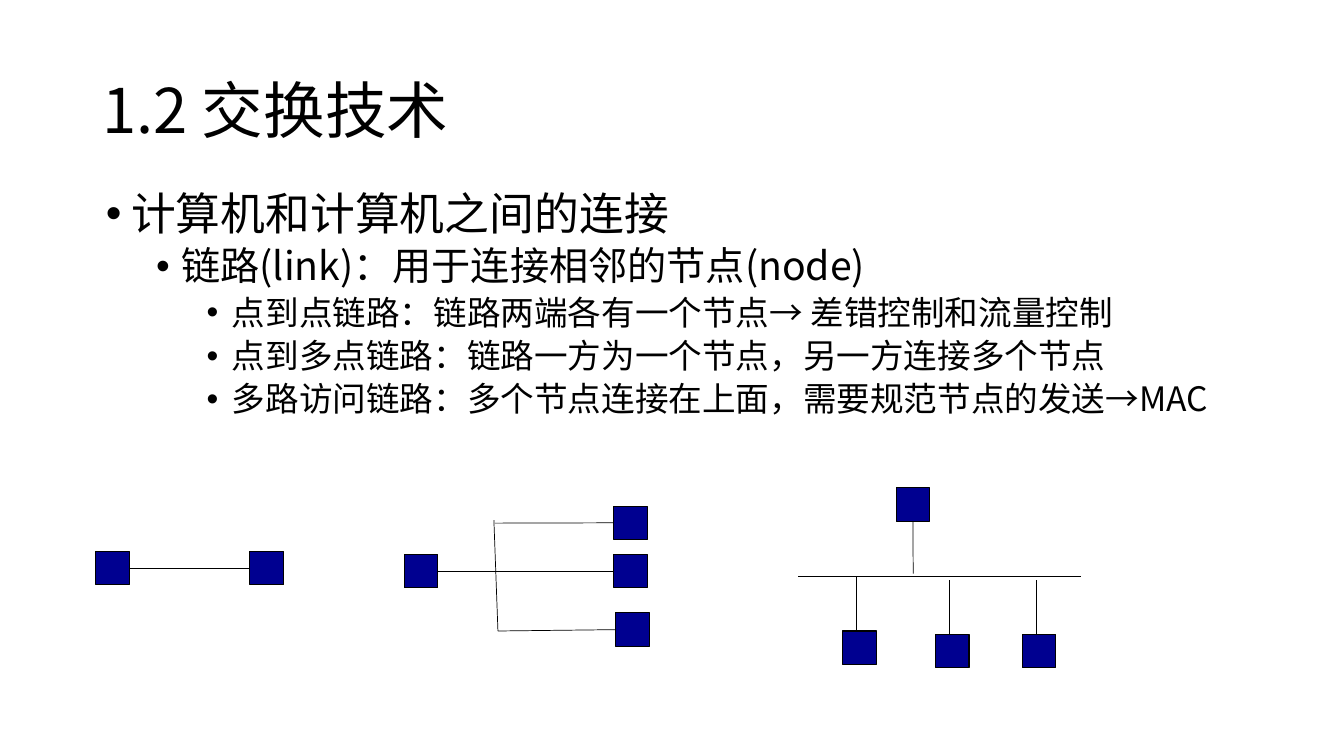
from dataclasses import dataclass

from lxml import etree
from pptx import Presentation
from pptx.dml.color import RGBColor
from pptx.enum.shapes import MSO_CONNECTOR, MSO_SHAPE
from pptx.enum.text import MSO_ANCHOR, MSO_AUTO_SIZE, PP_ALIGN
from pptx.oxml.ns import qn
from pptx.util import Inches, Pt

RECT = MSO_SHAPE.RECTANGLE
LINE = MSO_CONNECTOR.STRAIGHT
MIDDLE, TOP = MSO_ANCHOR.MIDDLE, MSO_ANCHOR.TOP
LEFT = PP_ALIGN.LEFT
NO_FIT = MSO_AUTO_SIZE.NONE
WEST, SOUTH, EAST = 1, 2, 3

WIDE, HIGH = Inches(13.333), Inches(7.5)
COLS, ROWS = 40, 22.5


@dataclass(frozen=True)
class Theme:
    font: str = "Noto Sans CJK SC"
    ink: RGBColor = RGBColor(0, 0, 0)
    node: RGBColor = RGBColor(0, 0, 0x90)
    title: int = 44
    sizes: tuple = (32, 28, 24)
    edge: float = 0.75
    link: float = 0.5


THEME = Theme()

TITLE = "1.2 交换技术"
POINTS = [
    (0, "计算机和计算机之间的连接"),
    (1, "链路(link)：用于连接相邻的节点(node)"),
    (2, "点到点链路：链路两端各有一个节点→ 差错控制和流量控制"),
    (2, "点到多点链路：链路一方为一个节点，另一方连接多个节点"),
    (2, "多路访问链路：多个节点连接在上面，需要规范节点的发送→MAC"),
]


def across(cols):
    return round(WIDE * cols / COLS)


def down(rows):
    return round(HIGH * rows / ROWS)


def apply(item, form):
    for key, value in form.items():
        setattr(item, key, value)


def place(holder, left, top, width, height, anchor):
    apply(holder, {"left": across(left), "top": down(top),
                   "width": across(width), "height": down(height)})
    apply(holder.text_frame, {"word_wrap": True, "auto_size": NO_FIT,
                              "vertical_anchor": anchor})


def write(para, text, size, before=0):
    apply(para, {"alignment": LEFT, "line_spacing": 0.9, "space_before": Pt(before)})
    run = para.add_run()
    run.text = text
    run.font.color.rgb = THEME.ink
    apply(run.font, {"name": THEME.font, "size": Pt(size), "bold": False})
    face = etree.SubElement(run.font._element, qn("a:ea"))
    face.set("typeface", THEME.font)


def bullet(para, level):
    para.level = level
    props = para._p.get_or_add_pPr()
    props.set("marL", str(Inches(0.25 + 0.5 * level)))
    props.set("indent", str(Inches(-0.25)))
    etree.SubElement(props, qn("a:buFont")).set("typeface", "Arial")
    etree.SubElement(props, qn("a:buChar")).set("char", "•")


def list_points(frame):
    for index, (level, text) in enumerate(POINTS):
        para = frame.add_paragraph() if index else frame.paragraphs[0]
        bullet(para, level)
        write(para, text, THEME.sizes[level], 5 if index else 0)


def add_node(group, left, top):
    node = group.shapes.add_shape(RECT, across(left), down(top), across(1), down(1))
    node.shadow.inherit = False
    node.fill.solid()
    node.fill.fore_color.rgb = THEME.node
    node.line.color.rgb = THEME.ink
    node.line.width = Pt(THEME.edge)
    return node


def add_link(group, start=(0, 0), end=(0, 0), tail=None, head=None):
    link = group.shapes.add_connector(
        LINE, across(start[0]), down(start[1]), across(end[0]), down(end[1]))
    link.line.color.rgb = THEME.ink
    link.line.width = Pt(THEME.link)
    etree.SubElement(link._element.spPr, qn("a:effectLst"))
    if tail:
        link.begin_connect(*tail)
    if head:
        link.end_connect(*head)


def draw_pair(group):
    first, second = [add_node(group, left, 16.41) for left in (2.85, 7.44)]
    add_link(group, tail=(first, EAST), head=(second, WEST))


def draw_tree(group):
    root = add_node(group, 12.03, 16.5)
    upper, centre, lower = [add_node(group, *spot) for spot in
                            ((18.27, 15.06), (18.27, 16.5), (18.33, 18.24))]
    add_link(group, tail=(root, EAST), head=(centre, WEST))
    fork = (14.82, 18.78)
    add_link(group, fork, (14.7, 15.48))
    add_link(group, (14.73, 15.57), head=(upper, WEST))
    add_link(group, fork, head=(lower, WEST))


def draw_bus(group):
    add_link(group, (23.76, 17.16), (32.16, 17.16))
    host = add_node(group, 26.67, 14.52)
    add_link(group, (27.18, 17.07), head=(host, SOUTH))
    for left, top in ((25.08, 18.78), (27.84, 18.87), (30.42, 18.87)):
        add_node(group, left, top)
        add_link(group, (left + 0.42, top + 0.03), (left + 0.42, top - 1.62))


def main():
    deck = Presentation()
    apply(deck, {"slide_width": WIDE, "slide_height": HIGH})
    slide = deck.slides.add_slide(deck.slide_layouts[1])
    title, body = slide.placeholders
    place(title, 2.75, 1.2, 34.5, 4.35, MIDDLE)
    write(title.text_frame.paragraphs[0], TITLE, THEME.title)
    place(body, 2.85, 5.55, 34.5, 14.28, TOP)
    list_points(body.text_frame)
    for draw in (draw_pair, draw_tree, draw_bus):
        draw(slide.shapes.add_group_shape())
    deck.save("out.pptx")


if __name__ == "__main__":
    main()
